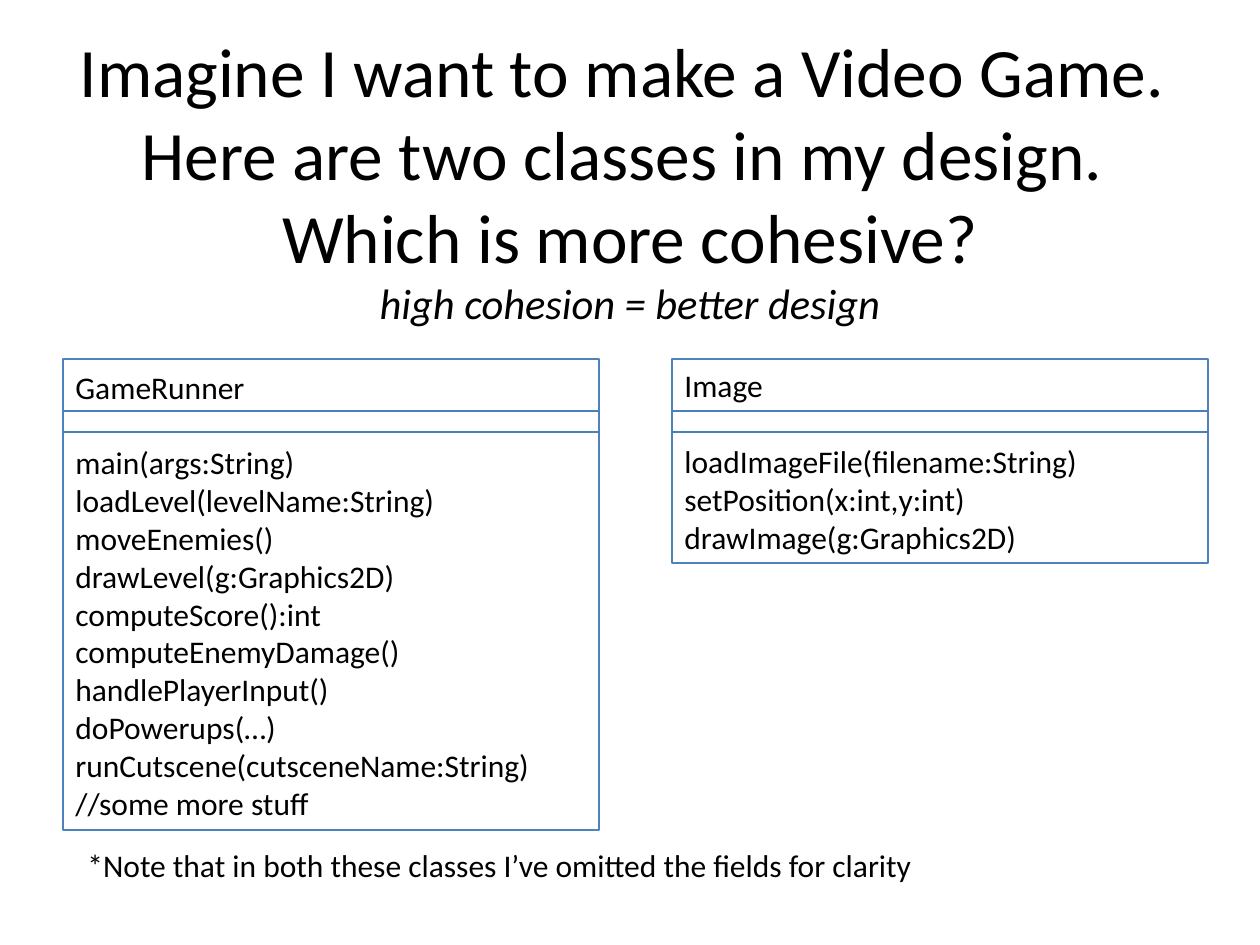
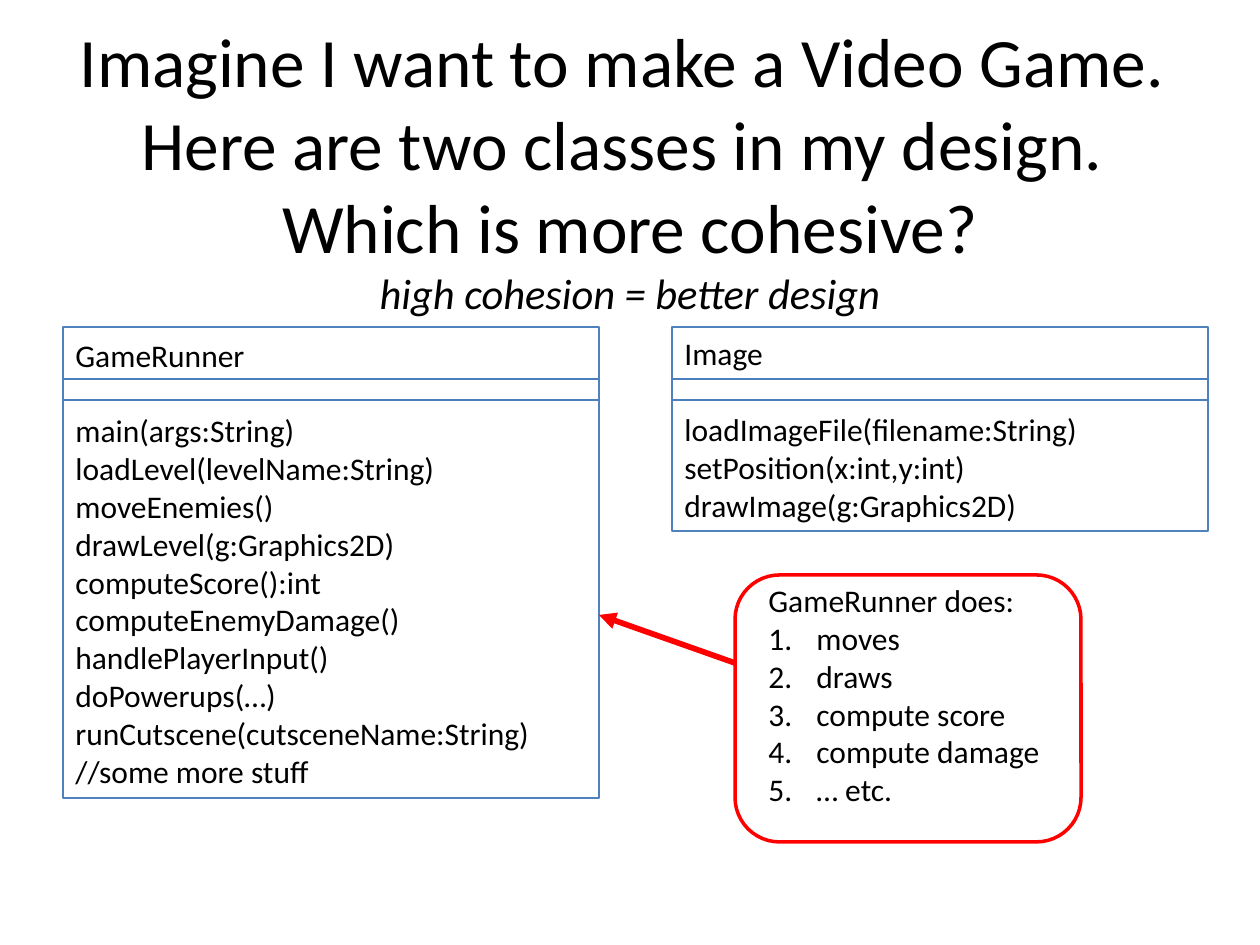
"""Build two slides that compare the cohesion of two game classes."""
from dataclasses import dataclass

from pptx import Presentation
from pptx import util as u
from pptx.dml import color
from pptx.enum import shapes, text
from pptx.oxml import ns, xmlchemy as xml


@dataclass(frozen=True)
class Theme:
    """Hold the colours, font and type sizes."""
    font: str = "Calibri"
    ink: str = "000000"
    edge: str = "4F81BD"
    rule: str = "4B7EBC"
    alert: str = "FF0000"
    head: float = 39.6
    sub: float = 24.3
    body: float = 18
    gap: float = 21.6


THEME = Theme()
SCALE = 914400 / 126
LEFT, RIGHT, WIDTH = 63, 672, 536
RUNNER = ("GameRunner", [
    "main(args:String)",
    "loadLevel(levelName:String)",
    "moveEnemies()",
    "drawLevel(g:Graphics2D)",
    "computeScore():int",
    "computeEnemyDamage()",
    "handlePlayerInput()",
    "doPowerups(…)",
    "runCutscene(cutsceneName:String)",
    "//some more stuff",
])
IMAGE = ("Image", [
    "loadImageFile(filename:String)",
    "setPosition(x:int,y:int)",
    "drawImage(g:Graphics2D)",
])
DUTIES = ["moves", "draws", "compute score", "compute damage", "… etc."]


def px(*sizes):
    """Turn pixels into EMU."""
    return [u.Emu(round(size * SCALE)) for size in sizes]


def rgb(code):
    """Turn a hex code into a colour."""
    return color.RGBColor.from_string(code)


def style(run, size, italic=None):
    """Set the font of a run."""
    font = run.font
    font.name, font.size, font.italic = THEME.font, u.Pt(size), italic
    font.color.rgb = rgb(THEME.ink)


def write(frame, lines):
    """Fill a frame with one body paragraph per line."""
    frame.word_wrap = True
    frame.text = "\n".join(lines)
    for para in frame.paragraphs:
        para.alignment = text.PP_ALIGN.LEFT
        for run in para.runs:
            style(run, THEME.body)


def add_text(slide, box, lines):
    """Add a text box and return its frame."""
    frame = slide.shapes.add_textbox(*px(*box)).text_frame
    write(frame, lines)
    return frame


def add_box(slide, kind, box, tint, weight):
    """Add an unfilled outline shape."""
    shape = slide.shapes.add_shape(kind, *px(*box))
    shape.shadow.inherit = False
    shape.fill.background()
    shape.line.color.rgb = rgb(tint)
    shape.line.width = u.Pt(weight)
    return shape


def add_line(slide, ends, tint, weight, arrow=False):
    """Add a straight line, with an arrowhead at its end if asked."""
    kind = shapes.MSO_CONNECTOR.STRAIGHT
    link = slide.shapes.add_connector(kind, *px(*ends))
    link.line.color.rgb = rgb(tint)
    link.line.width = u.Pt(weight)
    if arrow:
        tail = xml.OxmlElement("a:tailEnd")
        tail.set("type", "triangle")
        link.line._get_or_add_ln().append(tail)
    props = link._element.find(ns.qn("p:spPr"))
    props.append(xml.OxmlElement("a:effectLst"))


def add_title(slide, top):
    """Add the question and its italic subtitle."""
    box = px(LEFT, top, 1134, 336)
    frame = slide.shapes.add_textbox(*box).text_frame
    frame.word_wrap = True
    frame.vertical_anchor = text.MSO_ANCHOR.MIDDLE
    frame.text = ("Imagine I want to make a Video Game.  Here are two classes "
                  "in my design.  Which is more cohesive?\v"
                  "high cohesion = better design")
    para = frame.paragraphs[0]
    para.alignment = text.PP_ALIGN.CENTER
    head, sub = para.runs
    style(head, THEME.head)
    style(sub, THEME.sub, True)


def add_class(slide, left, top, height, model):
    """Add a class box with a name, an empty field row and methods."""
    name, calls = model
    kind = shapes.MSO_SHAPE.RECTANGLE
    shape = add_box(slide, kind, (left, top, WIDTH, height), THEME.edge, 0.75)
    frame = shape.text_frame
    write(frame, [name, *calls])
    frame.vertical_anchor = text.MSO_ANCHOR.MIDDLE
    frame.paragraphs[1].space_before = u.Pt(THEME.gap)
    for drop in (52, 73):
        ends = (left, top + drop, left + WIDTH, top + drop)
        add_line(slide, ends, THEME.rule, 0.75)


def add_pair(slide, top):
    """Add both class boxes side by side."""
    add_class(slide, LEFT, top, 471, RUNNER)
    add_class(slide, RIGHT, top, 204, IMAGE)


def number(para):
    """Give a paragraph a number and a hanging indent."""
    props = para._p.get_or_add_pPr()
    hang = px(48)[0]
    props.set("marL", str(hang))
    props.set("indent", str(-hang))
    mark = xml.OxmlElement("a:buAutoNum")
    mark.set("type", "arabicPeriod")
    props.append(mark)


def add_callout(slide):
    """Add the red callout that lists what the runner does."""
    frame = add_text(slide, (756, 575, 310, 242),
                     ["GameRunner does:", *DUTIES])
    for para in frame.paragraphs[1:]:
        number(para)
    kind = shapes.MSO_SHAPE.ROUNDED_RECTANGLE
    add_box(slide, kind, (735, 575, 346, 267), THEME.alert, 2)
    add_line(slide, (735, 663, 599, 615), THEME.alert, 3.25, True)


def main():
    """Build and save the deck."""
    deck = Presentation()
    deck.slide_width, deck.slide_height = px(1260, 945)
    blank = deck.slide_layouts[6]

    ask = deck.slides.add_slide(blank)
    add_title(ask, 10)
    add_pair(ask, 359)
    add_text(ask, (75, 840, 861, 50),
             ["*Note that in both these classes I’ve omitted the fields "
              "for clarity"])

    answer = deck.slides.add_slide(blank)
    add_pair(answer, 327)
    add_callout(answer)
    add_title(answer, 0)

    deck.save("out.pptx")


if __name__ == "__main__":
    main()
